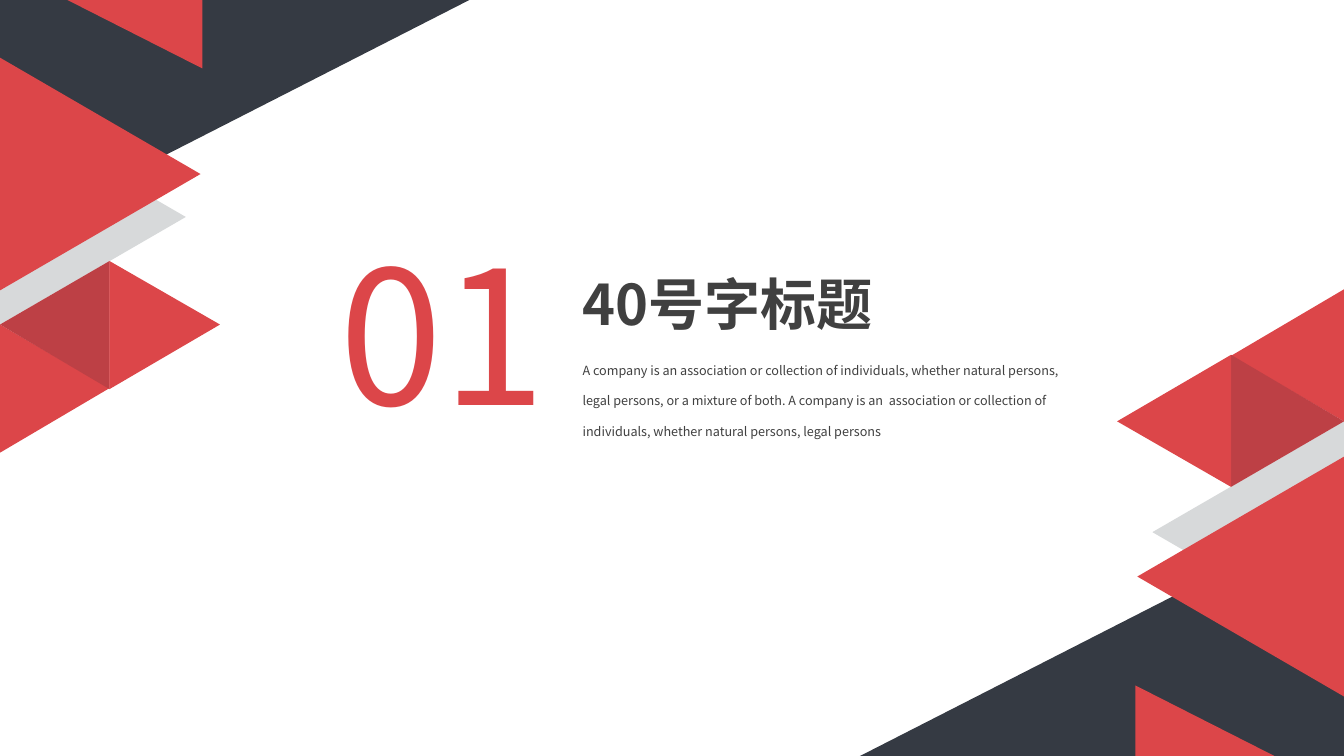
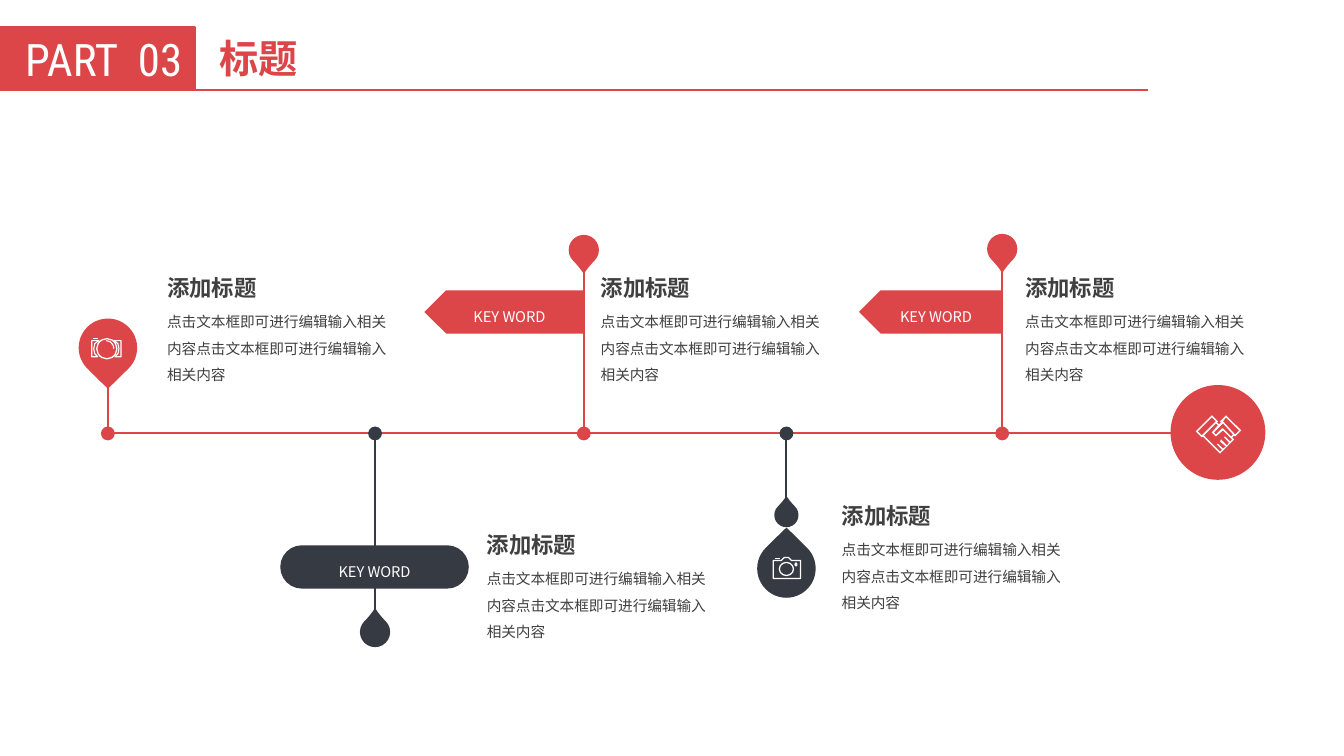
from pptx import Presentation
from pptx.dml.color import RGBColor
from pptx.enum.shapes import MSO_CONNECTOR as Cxn, MSO_SHAPE as Geo
from pptx.enum.text import MSO_ANCHOR as Anchor, MSO_AUTO_SIZE as Fit, PP_ALIGN as Align
from pptx.oxml.ns import qn
from pptx.util import Inches, Pt
from lxml.etree import SubElement

RED, DEEP, DARK = "DC4649", "BD4045", "353A43"
GREY, INK, WHITE = "D7D9DA", "404040", "FFFFFF"
SANS = "Noto Sans CJK SC"
WIDE, HIGH = 13.33, 7.5


# Shared helpers
def rgb(code):
    return RGBColor.from_string(code)


def paint(shape, fill=None, line=None, width=1.5):
    shape.shadow.inherit = False
    if fill:
        shape.fill.solid()
        shape.fill.fore_color.rgb = rgb(fill)
    else:
        shape.fill.background()
    if line:
        shape.line.color.rgb = rgb(line)
        shape.line.width = Pt(width)
    else:
        shape.line.fill.background()
    return shape


def write(shape, text, size=10.5, font=SANS, ink=INK, bold=False,
          align=Align.LEFT, anchor=Anchor.TOP, gap=1.0, wrap=True, inset=None):
    frame = shape.text_frame
    frame.auto_size = Fit.NONE
    frame.word_wrap = wrap
    frame.vertical_anchor = anchor
    if inset is not None:
        frame.margin_left = Inches(inset)
        frame.margin_right = frame.margin_top = frame.margin_bottom = 0
    para = frame.paragraphs[0]
    para.alignment = align
    para.line_spacing = gap
    run = para.add_run()
    run.text = text
    run.font.size, run.font.bold, run.font.name = Pt(size), bold, font
    run.font.color.rgb = rgb(ink)
    SubElement(run.font._element, qn("a:ea")).set("typeface", font)


def note(slide, box, text, **style):
    write(slide.shapes.add_textbox(*map(Inches, box)), text, **style)


def title(slide, box, text, **style):
    shape = slide.shapes.title
    shape.left, shape.top, shape.width, shape.height = map(Inches, box)
    write(shape, text, bold=True, **style)


def form(slide, kind, box, fill=None, line=None, width=1.5):
    return paint(slide.shapes.add_shape(kind, *map(Inches, box)), fill, line, width)


def outline(slide, x, y, loops, fill=None, line=None, width=1.0):
    """Draw closed loops of points measured from (x, y)."""
    paths = [[(Inches(x + a), Inches(y + b)) for a, b in loop] for loop in loops]
    pen = slide.shapes.build_freeform(*paths[0][0])
    for i, path in enumerate(paths):
        if i:
            pen.move_to(*path[0])
        pen.add_line_segments(path[1:], close=True)
    return paint(pen.convert_to_shape(), fill, line, width)


def rule(slide, x1, y1, x2, y2, ink=RED, width=1.5, dot=False):
    line = slide.shapes.add_connector(Cxn.STRAIGHT, *map(Inches, (x1, y1, x2, y2)))
    line.line.color.rgb = rgb(ink)
    line.line.width = Pt(width)
    if dot:
        tail = SubElement(line.line._get_or_add_ln(), qn("a:tailEnd"))
        for key, val in (("type", "oval"), ("w", "lg"), ("len", "lg")):
            tail.set(key, val)
    SubElement(line._element.spPr, qn("a:effectLst"))


# Corner triangles, as distances inward from the corner
CORNER = [
    (GREY, [(1.9, 2.22), (0, 1.12), (0, 3.32)]),
    (DARK, [(4.8, 0), (0, 0), (0, 2.45)]),
    (RED, [(2.07, 0.7), (2.07, 0), (0.69, 0)]),
    (RED, [(2.05, 1.78), (0, 0.59), (0, 2.97)]),
    (RED, [(1.12, 3.97), (0, 3.32), (0, 4.63)]),
    (DEEP, [(0, 3.32), (1.12, 2.67), (1.12, 3.98)]),
    (RED, [(2.25, 3.32), (1.12, 2.67), (1.12, 3.98)]),
]


def corner(slide, x, y, scale):
    """A negative scale turns the triangles to face up and left."""
    for fill, points in CORNER:
        outline(slide, x, y, [[(u * scale, v * scale) for u, v in points]], fill)


def divider(slide, x, y):
    corner(slide, WIDE, HIGH, -1)
    corner(slide, 0, 0, 0.97)
    title(slide, (x + 2.69, y + 0.49, 3.73, 0.77), "40号字标题", size=40)
    note(slide, (x + 2.69, y + 1.27, 5.06, 0.97),
         "A company is an association or collection of individuals, whether natural "
         "persons, legal persons, or a mixture of both. A company is an  association or "
         "collection of individuals, whether natural persons, legal persons",
         size=9, gap=2.0)
    note(slide, (x, y, 2.8, 2.34), "01", size=133, ink=RED, align=Align.CENTER)


def header(slide, y, part, text):
    band = form(slide, Geo.RECTANGLE, (0, y, 1.93, 0.62), RED, RED)
    write(band, part, size=32, font="Roboto Condensed", ink=WHITE,
          anchor=Anchor.MIDDLE, wrap=False, inset=0.25)
    title(slide, (2.08, y + 0.02, 1.29, 0.57), text, size=28, font="Arial", ink=RED)
    rule(slide, 1.87, y + 0.62, 11.39, y + 0.62)


# Timeline parts
def pin(slide, x, y, size, ink, up):
    drop = form(slide, Geo.TEAR, (x - size / 2, y - size / 2, size, size), ink)
    drop.adjustments[0] = 0.99 if size > 0.5 else 1.12
    drop.rotation = 315 if up else 135


def tag(slide, kind, box, ink):
    shape = form(slide, kind, box, ink)
    shape.adjustments[0] = 0.5
    if kind == Geo.PENTAGON:
        shape._element.spPr.find(qn("a:xfrm")).set("flipH", "1")
    write(shape, "KEY WORD", ink=WHITE, align=Align.CENTER,
          anchor=Anchor.MIDDLE, gap=1.5, inset=0)


def card(slide, x, y):
    note(slide, (x, y, 1.62, 0.46), "添加标题", size=16, bold=True, gap=1.5)
    note(slide, (x, y + 0.43, 2.44, 0.87), "点击文本框即可进行编辑输入相关内容" * 2, gap=1.5)


# Icons
SHAKE = [
    [(.39, .21), (.45, .15), (.3, 0), (.24, .06), (.25, .07), (.23, .09), (.21, .07),
     (.22, .06), (.16, 0), (0, .16), (.06, .22), (.07, .21), (.24, .38), (.38, .24),
     (.36, .22), (.38, .2)],
    [(.02, .16), (.16, .02), (.2, .06), (.06, .2)],
    [(.34, .26), (.29, .21), (.28, .22), (.33, .27), (.31, .3), (.25, .24), (.24, .26),
     (.3, .31), (.27, .33), (.22, .28), (.21, .29), (.26, .34), (.24, .36), (.08, .2),
     (.2, .08), (.22, .1), (.16, .17), (.2, .21), (.27, .15), (.36, .24)],
    [(.35, .21), (.27, .13), (.26, .13), (.2, .19), (.18, .17), (.24, .11), (.27, .08),
     (.37, .19)],
    [(.3, .02), (.43, .15), (.39, .19), (.27, .06)],
]
BODY = [(.01, .04), (.09, .04), (.12, .01), (.16, .01), (.19, .04), (.28, .04),
        (.28, .22), (.01, .22)]
GRIP = [(.08, .03), (.01, .03), (.01, .19), (.07, .19), (.04, .16), (.03, .11),
        (.04, .06)]


def camera(slide, x, y):
    outline(slide, x, y, [BODY], line=WHITE, width=0.9)
    form(slide, Geo.OVAL, (x + 0.07, y + 0.06, 0.14, 0.13), line=WHITE, width=0.9)
    form(slide, Geo.OVAL, (x + 0.22, y + 0.06, 0.03, 0.04), WHITE)
    rule(slide, x + 0.03, y + 0.02, x + 0.08, y + 0.02, WHITE, 0.8)


def lens(slide, x, y):
    grips = [GRIP, [(0.31 - a, b) for a, b in GRIP]]
    outline(slide, x, y, grips, line=WHITE, width=0.8)
    form(slide, Geo.OVAL, (x + 0.06, y + 0.01, 0.2, 0.2), line=WHITE, width=0.9)
    form(slide, Geo.ARC, (x + 0.08, y + 0.03, 0.15, 0.16), line=WHITE, width=0.8)
    rule(slide, x + 0.02, y + 0.01, x + 0.07, y + 0.01, WHITE, 0.8)


STOPS = [(0, -0.5, RED), (2.65, 2.11, DARK), (4.72, -1.97, RED),
         (6.73, 0.74, DARK), (8.87, -1.83, RED)]
PINS = [(0, -0.85, 0.58), (2.65, 1.97, 0.3), (4.72, -1.82, 0.3),
        (6.73, 0.81, 0.24), (6.73, 1.34, 0.58), (8.87, -1.83, 0.3)]
TAGS = [(Geo.ROUNDED_RECTANGLE, 1.71, 1.11, 1.87, DARK),
        (Geo.PENTAGON, 3.14, -1.42, 1.58, RED),
        (Geo.PENTAGON, 7.45, -1.42, 1.42, RED)]
CARDS = [(0.49, -1.76), (3.66, 0.79), (4.79, -1.76), (7.18, 0.5), (9, -1.76)]


def timeline(slide, x, y):
    """Place everything from the left end of the axis."""
    rule(slide, x, y, x + 10.58, y)
    for dx, dy, ink in STOPS:
        rule(slide, x + dx, y + dy, x + dx, y, ink, dot=True)
    for dx, dy, size in PINS:
        below = dy > 0
        pin(slide, x + dx, y + dy, size, DARK if below else RED, below)
    for kind, dx, dy, width, ink in TAGS:
        tag(slide, kind, (x + dx, y + dy, width, 0.43), ink)
    for dx, dy in CARDS:
        card(slide, x + dx, y + dy)
    form(slide, Geo.OVAL, (x + 10.54, y - 0.48, 0.94, 0.94), RED)
    outline(slide, x + 10.79, y - 0.18, SHAKE, WHITE)
    camera(slide, x + 6.59, y + 1.22)
    lens(slide, x - 0.17, y - 0.95)


def main():
    deck = Presentation()
    deck.slide_width, deck.slide_height = Inches(WIDE), Inches(HIGH)
    plain = deck.slide_layouts[5]
    divider(deck.slides.add_slide(plain), 2.99, 2.13)
    steps = deck.slides.add_slide(plain)
    header(steps, 0.27, "PART  03", "标题")
    timeline(steps, 1.07, 4.3)
    deck.save("out.pptx")


if __name__ == "__main__":
    main()
